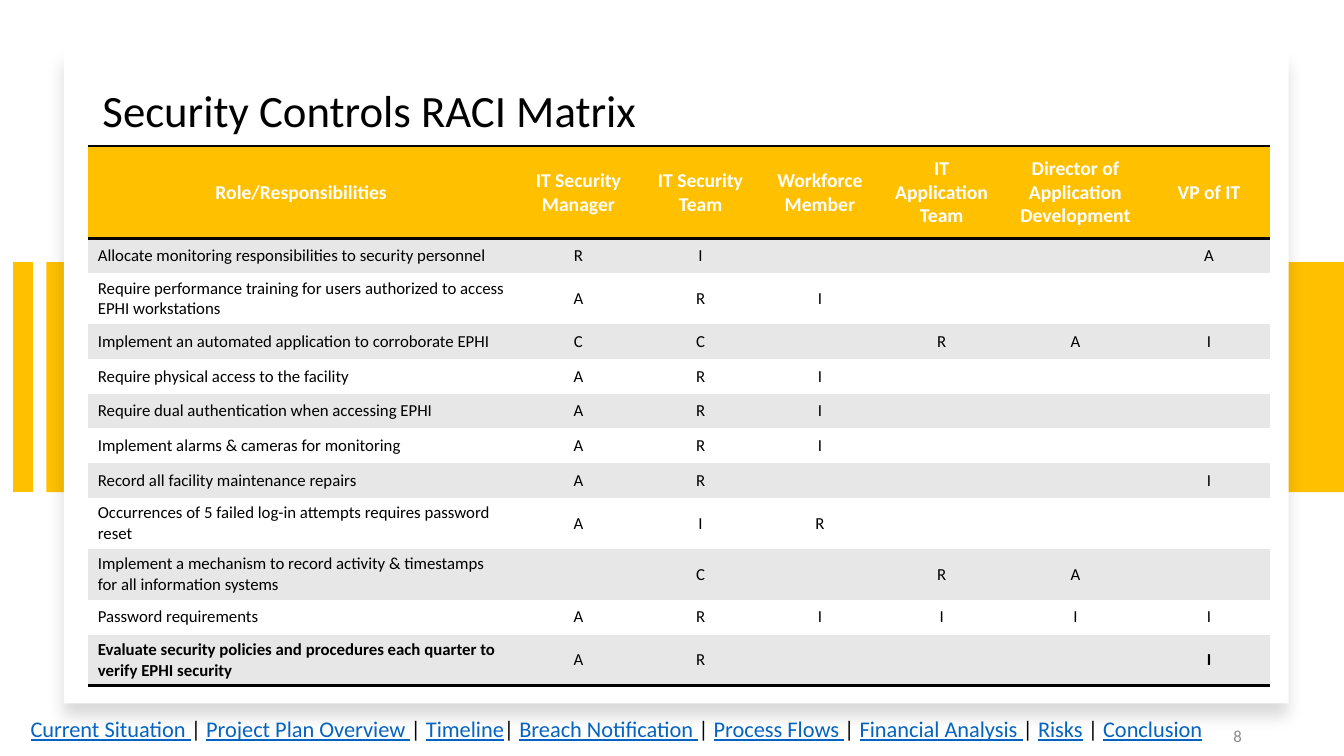
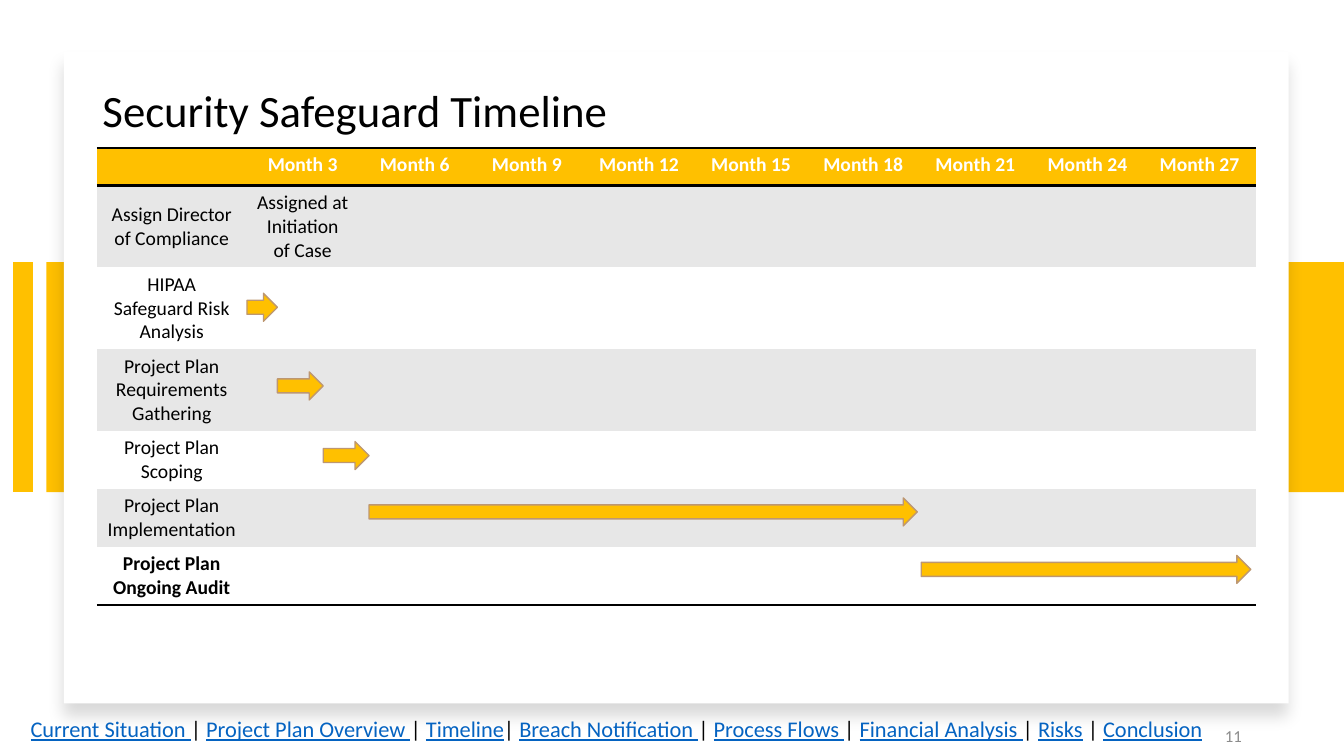
import lxml.etree
import pptx
import pptx.dml.color
import pptx.enum.shapes
import pptx.enum.text
import pptx.oxml.ns
import pptx.util

Pt = pptx.util.Pt
qn = pptx.oxml.ns.qn
ALIGN = pptx.enum.text.PP_ALIGN
ANCHOR = pptx.enum.text.MSO_ANCHOR
SHAPE = pptx.enum.shapes.MSO_SHAPE

FONT = "Calibri"
GOLD, GREY, WHITE, BLACK = "FFC000", "E7E7E7", "FFFFFF", "000000"
LINK, NUMBER, ARROW_EDGE = "0563C1", "8C8C8C", "BD9771"
PLAIN_TABLE_STYLE = "{2D5ABB26-0587-4C30-8999-92F81FD0307C}"
BAND_TOP, BAND_HEIGHT = 187.2, 164.4

NAVIGATION = [
    ("Current Situation ", "| "), ("Project Plan Overview ", "| "), ("Timeline", "| "),
    ("Breach Notification ", "| "), ("Process Flows ", "| "),
    ("Financial Analysis ", "| "), ("Risks", " | "), ("Conclusion", ""),
]

RACI_HEADER = [
    "Role/Responsibilities", "IT Security Manager", "IT Security Team", "Workforce Member",
    "IT Application Team", "Director of Application Development", "VP of IT",
]
RACI_WIDTHS = [305, 91, 83.5, 87, 87, 104, 87]
ONE_LINE, TWO_LINES = 24.8, 36.5
RACI_ROWS = [
    ("Allocate monitoring responsibilities to security personnel", "RI   A", ONE_LINE),
    ("Require performance training for users authorized to access EPHI workstations",
     "ARI   ", TWO_LINES),
    ("Implement an automated application to corroborate EPHI", "CC RAI", ONE_LINE),
    ("Require physical access to the facility", "ARI   ", ONE_LINE),
    ("Require dual authentication when accessing EPHI", "ARI   ", ONE_LINE),
    ("Implement alarms & cameras for monitoring", "ARI   ", ONE_LINE),
    ("Record all facility maintenance repairs", "AR   I", ONE_LINE),
    ("Occurrences of 5 failed log-in attempts requires password reset", "AIR   ", TWO_LINES),
    ("Implement a mechanism to record activity & timestamps for all information systems",
     " C RA ", TWO_LINES),
    ("Password requirements", "ARIIII", ONE_LINE),
    ("Evaluate security policies and procedures each quarter to verify EPHI security",
     "AR   I", TWO_LINES),
]

MONTHS = range(3, 28, 3)
PHASES = [
    ("Assign Director of Compliance", 58.5), ("HIPAA Safeguard Risk Analysis", 58.5),
    ("Project Plan Requirements Gathering", 58.5), ("Project Plan Scoping", 41.4),
    ("Project Plan Implementation", 41.4), ("Project Plan Ongoing Audit", 41.4),
]
PHASE_ARROWS = [
    (176.4, 198.2, 209.5), (198.2, 230.9, 265.7), (230.9, 263.6, 315.4),
    (263.6, 655.2, 355.7), (658.1, 893.5, 396.7),
]


def color(value):
    """Turn a hex string into a colour."""
    return pptx.dml.color.RGBColor.from_string(value)


def format_font(font, size, value, bold=False):
    """Apply the deck font with a size and colour."""
    font.name = FONT
    font.size = Pt(size)
    font.color.rgb = color(value)
    font.bold = bold


def add_block(slide, kind, left, top, width, height, fill, edge=None):
    """Add a filled preset shape without the theme's shadow."""
    shape = slide.shapes.add_shape(kind, Pt(left), Pt(top), Pt(width), Pt(height))
    shape.shadow.inherit = False
    shape.fill.solid()
    shape.fill.fore_color.rgb = color(fill)
    if edge:
        shape.line.color.rgb = color(edge)
        shape.line.width = Pt(1)
    else:
        shape.line.fill.background()
    return shape


def add_soft_shadow(shape):
    """Cast a faint shadow below a shape."""
    effects = shape._element.spPr.find(qn("a:effectLst"))
    shadow = lxml.etree.SubElement(
        effects, qn("a:outerShdw"), blurRad=str(Pt(11)), dist=str(Pt(10)),
        dir="5400000", algn="t", rotWithShape="0")
    tint = lxml.etree.SubElement(shadow, qn("a:srgbClr"), val=BLACK)
    lxml.etree.SubElement(tint, qn("a:alpha"), val="15000")


def add_backdrop(slide):
    """Add the gold band, the gold stripe and the white card."""
    add_block(slide, SHAPE.RECTANGLE, 33.2, BAND_TOP, 926.8, BAND_HEIGHT, GOLD)
    stripe = slide.shapes.add_connector(
        pptx.enum.shapes.MSO_CONNECTOR.STRAIGHT,
        Pt(16.5), Pt(BAND_TOP), Pt(16.5), Pt(BAND_TOP + BAND_HEIGHT))
    stripe.line.color.rgb = color(GOLD)
    stripe.line.width = Pt(14)
    lxml.etree.SubElement(stripe._element.spPr, qn("a:effectLst"))
    card = add_block(slide, SHAPE.RECTANGLE, 45.6, 36.7, 874.8, 465.8, WHITE)
    add_soft_shadow(card)


def place_title(slide, text):
    """Fill the title placeholder and bring it in front of the card."""
    title = slide.shapes.title
    slide.shapes._spTree.append(title._element)
    title.left, title.top, title.width, title.height = Pt(66), Pt(28.8), Pt(828), Pt(104.4)
    title.text_frame.text = text
    title.text_frame.vertical_anchor = ANCHOR.MIDDLE
    paragraph = title.text_frame.paragraphs[0]
    paragraph.alignment = ALIGN.LEFT
    paragraph.line_spacing = 0.9
    format_font(paragraph.runs[0].font, 32, BLACK)


def add_text_box(slide, left, top, width, height, alignment):
    """Add a wrapping text box and return its text frame."""
    frame = slide.shapes.add_textbox(Pt(left), Pt(top), Pt(width), Pt(height)).text_frame
    frame.word_wrap = True
    frame.paragraphs[0].alignment = alignment
    return frame


def add_page_number(slide, number):
    """Add the slide number at the lower right."""
    frame = add_text_box(slide, 678.2, 511.2, 216, 28.8, ALIGN.RIGHT)
    frame.vertical_anchor = ANCHOR.MIDDLE
    run = frame.paragraphs[0].add_run()
    run.text = str(number)
    format_font(run.font, 12, NUMBER)


def add_navigation(slide):
    """Add the row of section names along the foot."""
    paragraph = add_text_box(slide, 0, 507.6, 880.6, 26.6, ALIGN.CENTER).paragraphs[0]
    for label, separator in NAVIGATION:
        for text, value, underline in ((label, LINK, True), (separator, BLACK, False)):
            if text:
                run = paragraph.add_run()
                run.text = text
                format_font(run.font, 16, value)
                run.font.underline = underline


def add_rule(cell, side):
    """Draw a black border on one side of a cell."""
    border = lxml.etree.SubElement(cell._tc.get_or_add_tcPr(), qn("a:" + side), w=str(Pt(2)))
    fill = lxml.etree.SubElement(border, qn("a:solidFill"))
    lxml.etree.SubElement(fill, qn("a:srgbClr"), val=BLACK)


def fill_cell(cell, text, size, value, bold, alignment, anchor, background):
    """Set the text and look of one cell."""
    cell.fill.solid()
    cell.fill.fore_color.rgb = color(background)
    cell.vertical_anchor = anchor
    paragraph = cell.text_frame.paragraphs[0]
    paragraph.alignment = alignment
    if text:
        run = paragraph.add_run()
        run.text = text
        format_font(run.font, size, value, bold)
    else:
        lxml.etree.SubElement(paragraph._p, qn("a:endParaRPr"), sz=str(size * 100))


def add_banded_table(slide, left, top, widths, heights, rows, body_size,
                     label_alignment, header_anchor):
    """Add a table with a gold header, grey bands and black rules."""
    frame = slide.shapes.add_table(
        len(rows), len(widths), Pt(left), Pt(top), Pt(sum(widths)), Pt(sum(heights)))
    table = frame.table
    table.horz_banding = False
    table._tbl.tblPr.find(qn("a:tableStyleId")).text = PLAIN_TABLE_STYLE
    for column, width in zip(table.columns, widths):
        column.width = Pt(width)
    last_row, last_column = len(rows) - 1, len(widths) - 1
    for row_index, texts in enumerate(rows):
        table.rows[row_index].height = Pt(heights[row_index])
        for column_index, text in enumerate(texts):
            cell = table.cell(row_index, column_index)
            if row_index == 0:
                add_rule(cell, "lnT")
            if row_index in (0, last_row):
                add_rule(cell, "lnB")
            if row_index == 0:
                fill_cell(cell, text, 14, WHITE, True, ALIGN.CENTER, header_anchor, GOLD)
            else:
                bold = row_index == last_row and column_index in (0, last_column)
                alignment = ALIGN.CENTER if column_index else label_alignment
                background = GREY if row_index % 2 else WHITE
                fill_cell(cell, text, body_size, BLACK, bold, alignment,
                          ANCHOR.MIDDLE, background)


def start_slide(presentation, title, number):
    """Add a slide with everything the deck shares."""
    slide = presentation.slides.add_slide(presentation.slide_layouts[5])
    add_backdrop(slide)
    add_page_number(slide, number)
    place_title(slide, title)
    add_navigation(slide)
    return slide


def build_raci_slide(presentation):
    """Build the responsibility matrix."""
    slide = start_slide(presentation, "Security Controls RACI Matrix", 8)
    rows = [RACI_HEADER]
    rows += [[duty] + [code.strip() for code in codes] for duty, codes, _ in RACI_ROWS]
    heights = [66] + [height for _, _, height in RACI_ROWS]
    add_banded_table(slide, 62.7, 104.4, RACI_WIDTHS, heights, rows, 12,
                     ALIGN.LEFT, ANCHOR.MIDDLE)


def build_timeline_slide(presentation):
    """Build the timeline table with its phase arrows."""
    slide = start_slide(presentation, "Security Safeguard Timeline", 11)
    rows = [[""] + [f"Month {month}" for month in MONTHS]]
    rows += [[phase] + [""] * len(MONTHS) for phase, _ in PHASES]
    rows[1][1] = "Assigned at Initiation of Case"
    widths = [107] + [80.1] * len(MONTHS)
    heights = [26.6] + [height for _, height in PHASES]
    add_banded_table(slide, 69.2, 105.9, widths, heights, rows, 14,
                     ALIGN.CENTER, ANCHOR.TOP)
    for start, end, top in PHASE_ARROWS:
        add_block(slide, SHAPE.RIGHT_ARROW, start, top, end - start, 20, GOLD, ARROW_EDGE)


def main():
    """Build and save the presentation."""
    presentation = pptx.Presentation()
    presentation.slide_width, presentation.slide_height = Pt(960), Pt(540)
    build_raci_slide(presentation)
    build_timeline_slide(presentation)
    presentation.save("out.pptx")


if __name__ == "__main__":
    main()
